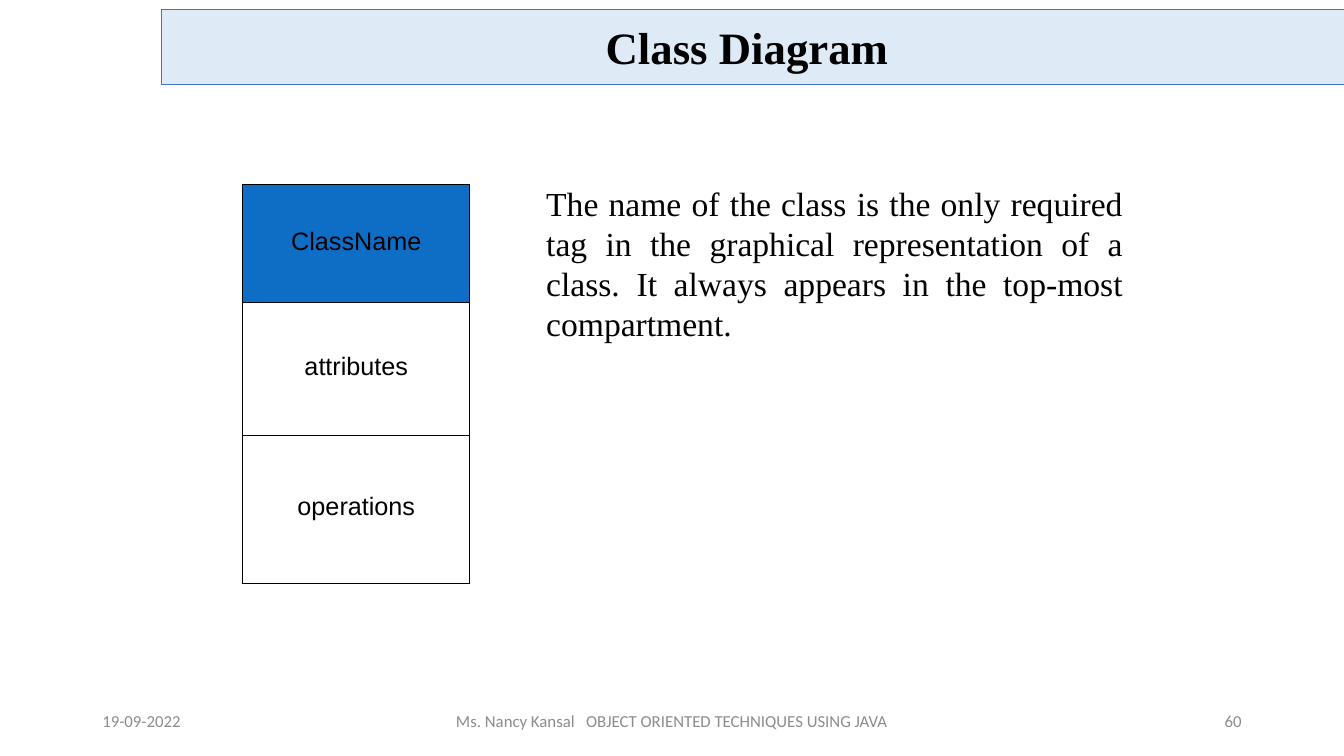
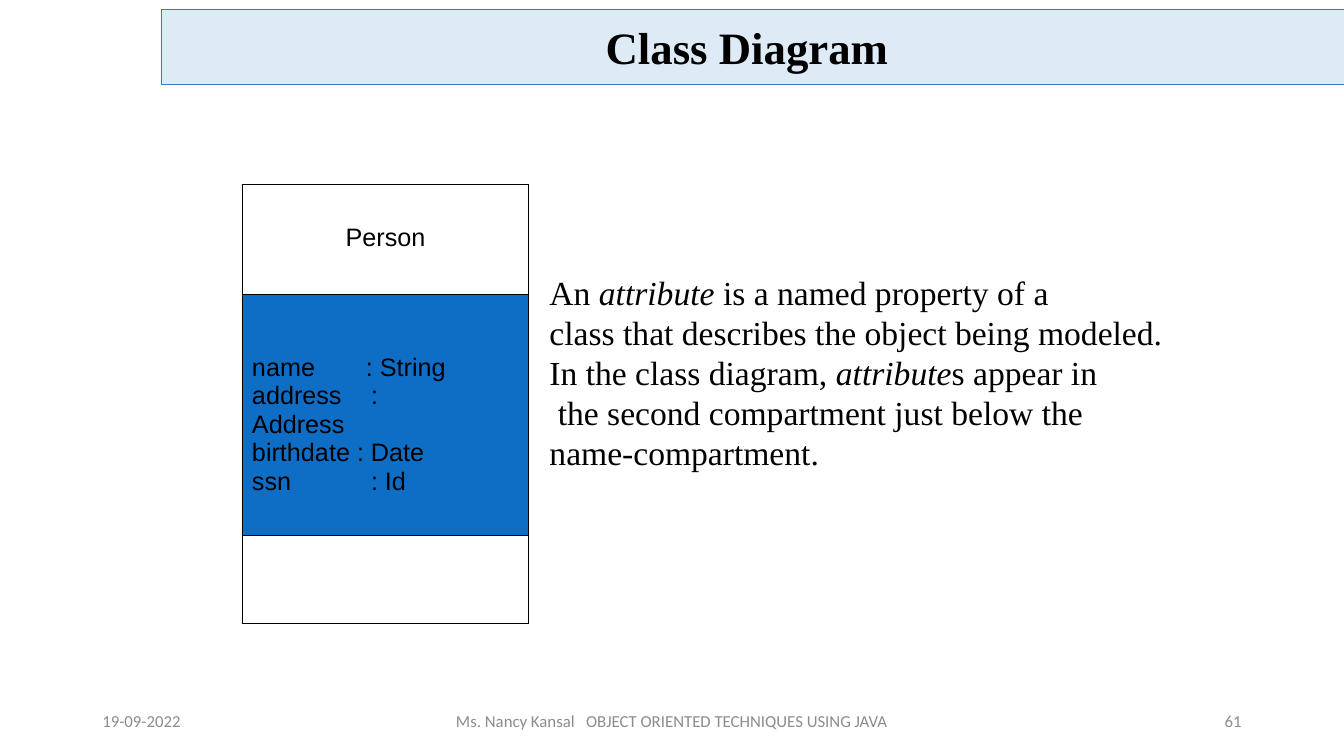
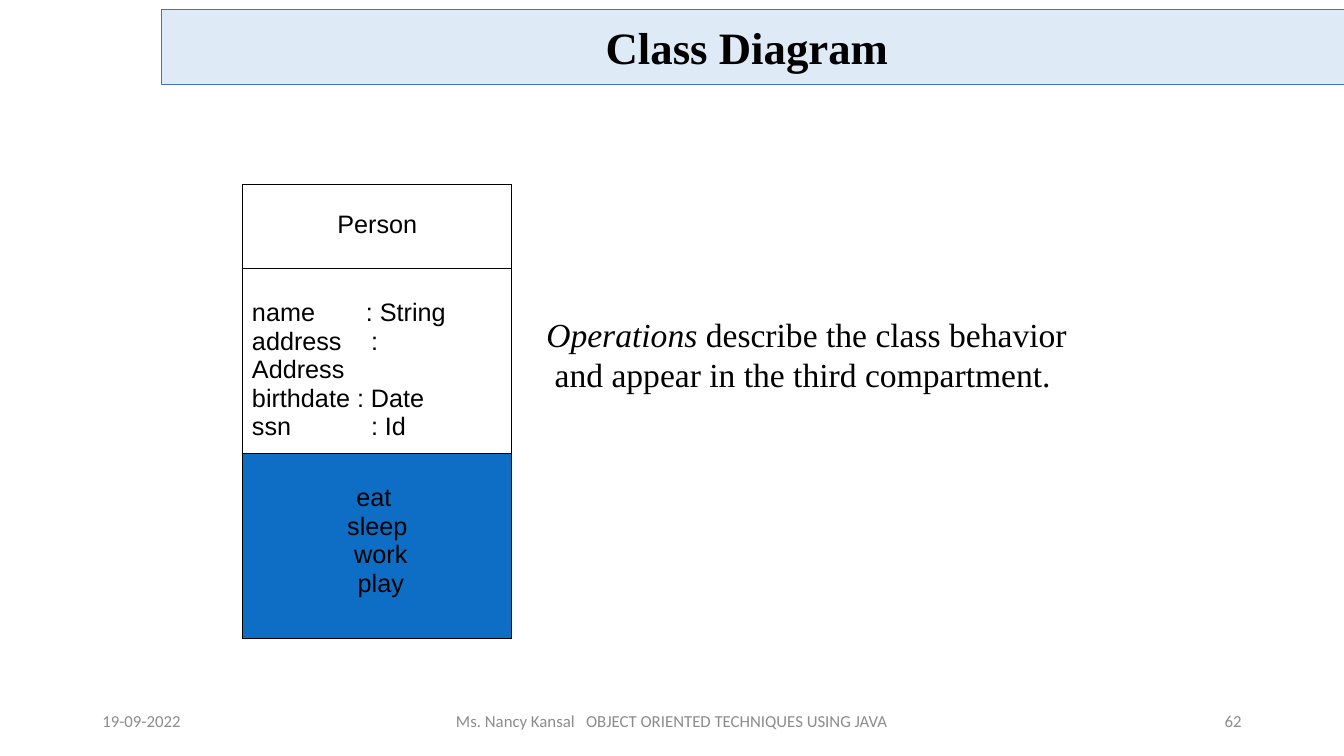
"""Build three slides that explain the compartments of a class diagram."""
from dataclasses import dataclass

from lxml import etree
from pptx import Presentation
from pptx.dml.color import RGBColor
from pptx.enum.shapes import MSO_SHAPE
from pptx.enum.text import MSO_ANCHOR, PP_ALIGN
from pptx.oxml.ns import qn
from pptx.util import Pt

BLACK = RGBColor(0x00, 0x00, 0x00)
WHITE = RGBColor(0xFF, 0xFF, 0xFF)
HIGHLIGHT = RGBColor(0x0E, 0x6E, 0xC6)
BAND_FILL = RGBColor(0xDE, 0xEB, 0xF7)
BAND_LINE = RGBColor(0x44, 0x72, 0xC4)
FOOTER_GREY = RGBColor(0x8C, 0x8C, 0x8C)

LEFT, CENTER = PP_ALIGN.LEFT, PP_ALIGN.CENTER
RIGHT, JUSTIFY = PP_ALIGN.RIGHT, PP_ALIGN.JUSTIFY
TOP, MIDDLE = MSO_ANCHOR.TOP, MSO_ANCHOR.MIDDLE
RECTANGLE = MSO_SHAPE.RECTANGLE

SERIF, SANS, FOOTER_FONT = "Times New Roman", "Arial", "Calibri"
DIAGRAM_LEFT, DIAGRAM_TOP = 173.5, 131.8
ATTRIBUTE_INDENT, ATTRIBUTE_WIDTH = 6.5, 155
ATTRIBUTE_TABS = (81.4, 85)
ATTRIBUTES = ("name\t: String", "address\t\t: Address",
              "birthdate : Date", "ssn\t\t: Id")


@dataclass(frozen=True)
class Compartment:
    """One row of a class box, with its text and the gap above the text."""

    height: float
    lines: tuple = ()
    gap: float = 0
    highlighted: bool = False
    is_attribute_list: bool = False


@dataclass(frozen=True)
class Explanation:
    """The text beside a class box."""

    left: float
    top: float
    width: float
    lines: tuple
    emphasis: str = ""
    align: PP_ALIGN = LEFT


@dataclass(frozen=True)
class ClassSlide:
    """The content of one slide."""

    number: int
    box_width: float
    compartments: tuple
    explanation: Explanation


SLIDES = (
    ClassSlide(
        60, 162,
        (Compartment(84.3, ("ClassName",), 30.5, highlighted=True),
         Compartment(95, ("attributes",), 35.9),
         Compartment(105.8, ("operations",), 41)),
        Explanation(390.2, 131, 412, (
            "The name of the class is the only required tag in the graphical "
            "representation of a class. It always appears in the top-most "
            "compartment.",), align=JUSTIFY)),
    ClassSlide(
        61, 203.8,
        (Compartment(78.6, ("Person",), 27.6),
         Compartment(172.4, ATTRIBUTES, 41.9, highlighted=True,
                     is_attribute_list=True),
         Compartment(62.8)),
        Explanation(392.5, 194.7, 460, (
            "An attribute is a named property of a",
            "class that describes the object being modeled.",
            "In the class diagram, attributes appear in",
            " the second compartment just below the",
            "name-compartment."), emphasis="attribute")),
    ClassSlide(
        62, 192,
        (Compartment(60, ("Person",), 18.4),
         Compartment(132, ATTRIBUTES, 21.6, is_attribute_list=True),
         Compartment(132, ("eat ", "sleep", " work", " play"), 21.6,
                     highlighted=True)),
        Explanation(390.2, 224.7, 400, (
            "Operations describe the class behavior",
            " and appear in the third compartment."), emphasis="Operations")),
)


def write(frame, lines, *, font, size, color=BLACK, bold=False, align=LEFT,
          spacing=None, tabs=(), emphasis="") -> None:
    """Write one paragraph per line, with the emphasised word in italics."""
    for index, line in enumerate(lines):
        paragraph = frame.paragraphs[0] if index == 0 else frame.add_paragraph()
        if tabs:
            tab_list = etree.SubElement(paragraph._p.get_or_add_pPr(), qn("a:tabLst"))
            for position in tabs:
                etree.SubElement(tab_list, qn("a:tab"), pos=str(Pt(position)), algn="l")
        paragraph.alignment = align
        if spacing is not None:
            paragraph.line_spacing = spacing
        parts = line.partition(emphasis) if emphasis else (line,)
        for part in filter(None, parts):
            run = paragraph.add_run()
            run.text = part
            run.font.name = font
            run.font.size = Pt(size)
            run.font.bold = bold
            run.font.italic = part == emphasis
            run.font.color.rgb = color


def add_text(slide, left: float, top: float, width: float, height: float,
             lines, *, inset: float = 0, anchor=TOP, **text_format) -> None:
    """Add a wrapped text box."""
    frame = slide.shapes.add_textbox(Pt(left), Pt(top), Pt(width), Pt(height)).text_frame
    frame.word_wrap = True
    frame.vertical_anchor = anchor
    frame.margin_left = frame.margin_right = Pt(inset)
    frame.margin_top = frame.margin_bottom = Pt(0)
    write(frame, lines, **text_format)


def add_title_band(slide) -> None:
    """Add the pale band with the title."""
    band = slide.shapes.add_shape(RECTANGLE, Pt(115.2), Pt(6.5), Pt(844.8), Pt(54))
    band.shadow.inherit = False
    band.fill.solid()
    band.fill.fore_color.rgb = BAND_FILL
    band.line.color.rgb = BAND_LINE
    band.line.width = Pt(0.5)
    band.text_frame.vertical_anchor = MIDDLE
    write(band.text_frame, ("Class Diagram ",), font=SERIF, size=32, bold=True,
          align=CENTER)


def add_footer(slide, number: int) -> None:
    """Add the date, the course and the slide number."""
    course = "Ms. Nancy Kansal   OBJECT ORIENTED TECHNIQUES USING JAVA"
    for left, width, text, align in ((66, 216, "19-09-2022", LEFT),
                                     (318, 324, course, CENTER),
                                     (678, 216, str(number), RIGHT)):
        add_text(slide, left, 500.5, width, 28.8, (text,), inset=7.2, anchor=MIDDLE,
                 font=FOOTER_FONT, size=12, color=FOOTER_GREY, align=align)


def add_borders(cell) -> None:
    """Draw a thin black line on every side of a cell."""
    properties = cell._tc.get_or_add_tcPr()
    for side in ("a:lnL", "a:lnR", "a:lnT", "a:lnB"):
        line = etree.SubElement(properties, qn(side), w=str(Pt(0.75)))
        fill = etree.SubElement(line, qn("a:solidFill"))
        etree.SubElement(fill, qn("a:srgbClr"), val=str(BLACK))


def add_class_box(slide, width: float, compartments) -> None:
    """Add a class box as a table with one row per compartment."""
    total = sum(compartment.height for compartment in compartments)
    table = slide.shapes.add_table(len(compartments), 1, Pt(DIAGRAM_LEFT),
                                   Pt(DIAGRAM_TOP), Pt(width), Pt(total)).table
    table.first_row = table.horz_banding = False
    for index, compartment in enumerate(compartments):
        table.rows[index].height = Pt(compartment.height)
        cell = table.cell(index, 0)
        add_borders(cell)
        cell.fill.solid()
        cell.fill.fore_color.rgb = HIGHLIGHT if compartment.highlighted else WHITE
        cell.margin_left = cell.margin_right = cell.margin_bottom = Pt(0)
        cell.margin_top = Pt(compartment.gap)
        listed = compartment.is_attribute_list
        if listed:
            cell.margin_left = Pt(ATTRIBUTE_INDENT)
            cell.margin_right = Pt(width - ATTRIBUTE_WIDTH)
        write(cell.text_frame, compartment.lines, font=SANS, size=18,
              align=LEFT if listed else CENTER,
              spacing=1.01 if len(compartment.lines) > 1 else None,
              tabs=ATTRIBUTE_TABS if listed else ())


def add_explanation(slide, explanation: Explanation) -> None:
    """Add the text beside the class box."""
    add_text(slide, explanation.left, explanation.top, explanation.width,
             28.5 * len(explanation.lines), explanation.lines, font=SERIF, size=24,
             align=explanation.align, spacing=Pt(28.5), emphasis=explanation.emphasis)


def main() -> None:
    """Build and save the presentation."""
    presentation = Presentation()
    presentation.slide_width, presentation.slide_height = Pt(960), Pt(540)
    blank = presentation.slide_layouts[6]
    for content in SLIDES:
        slide = presentation.slides.add_slide(blank)
        add_class_box(slide, content.box_width, content.compartments)
        add_explanation(slide, content.explanation)
        add_title_band(slide)
        add_footer(slide, content.number)
    presentation.save("out.pptx")


if __name__ == "__main__":
    main()
